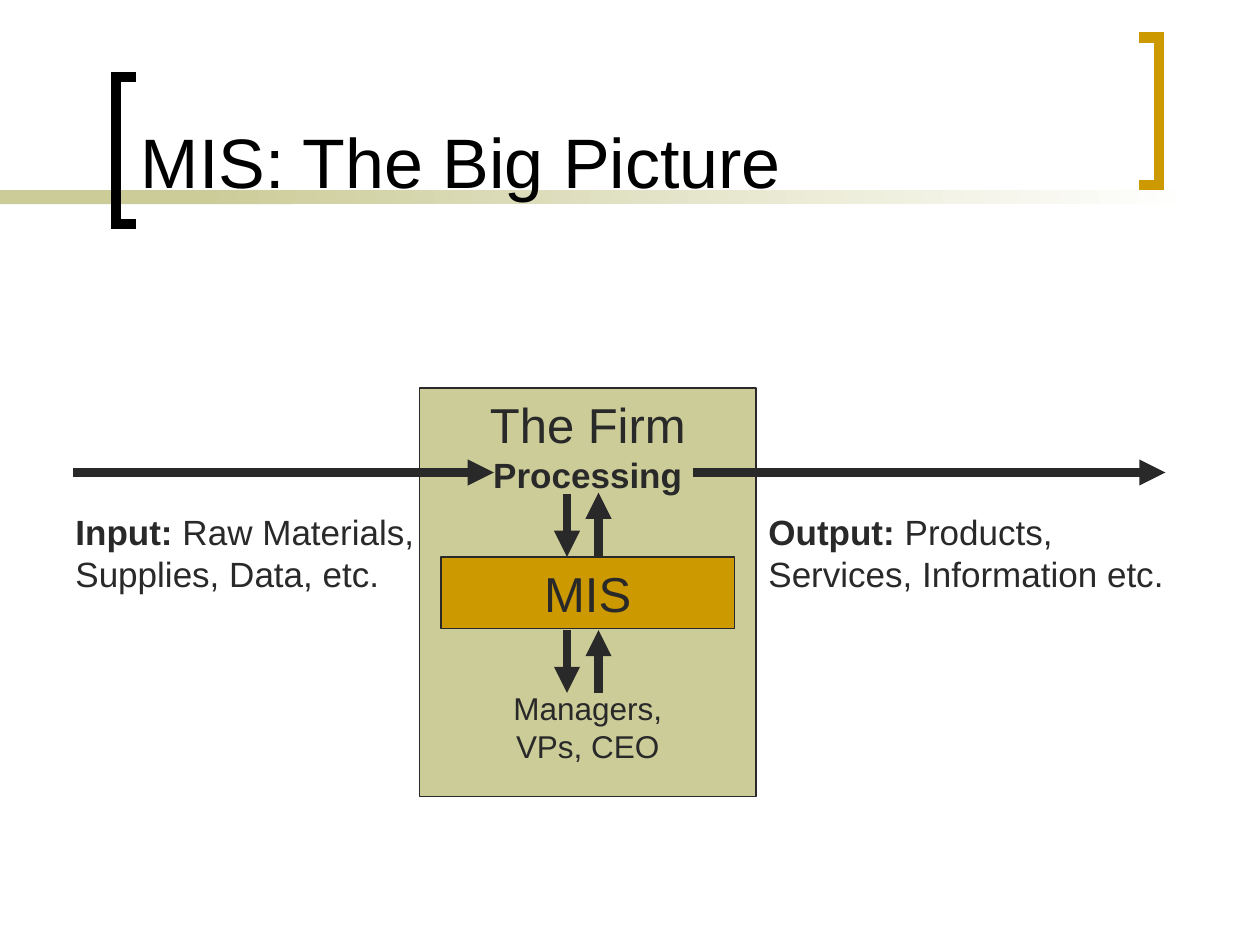
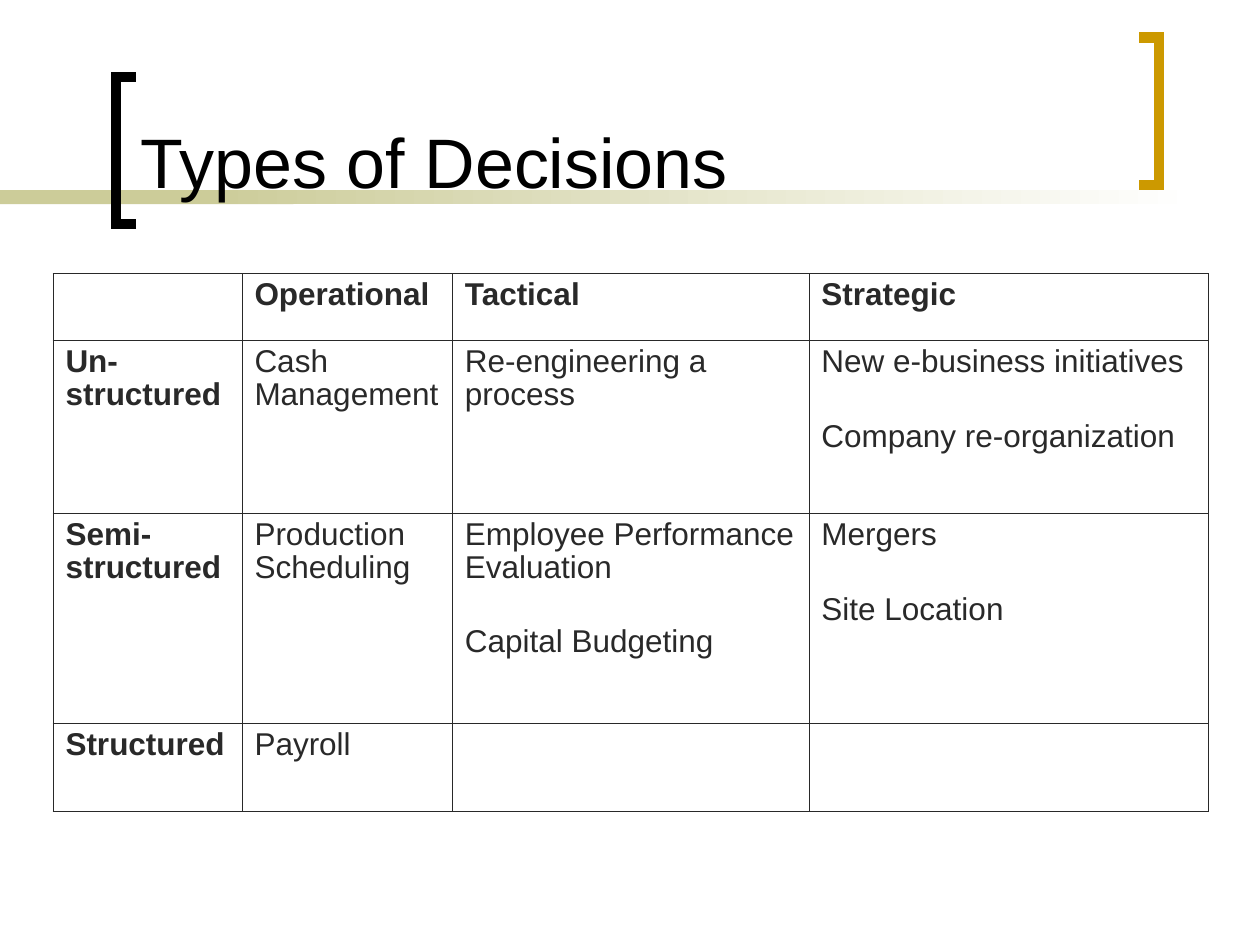
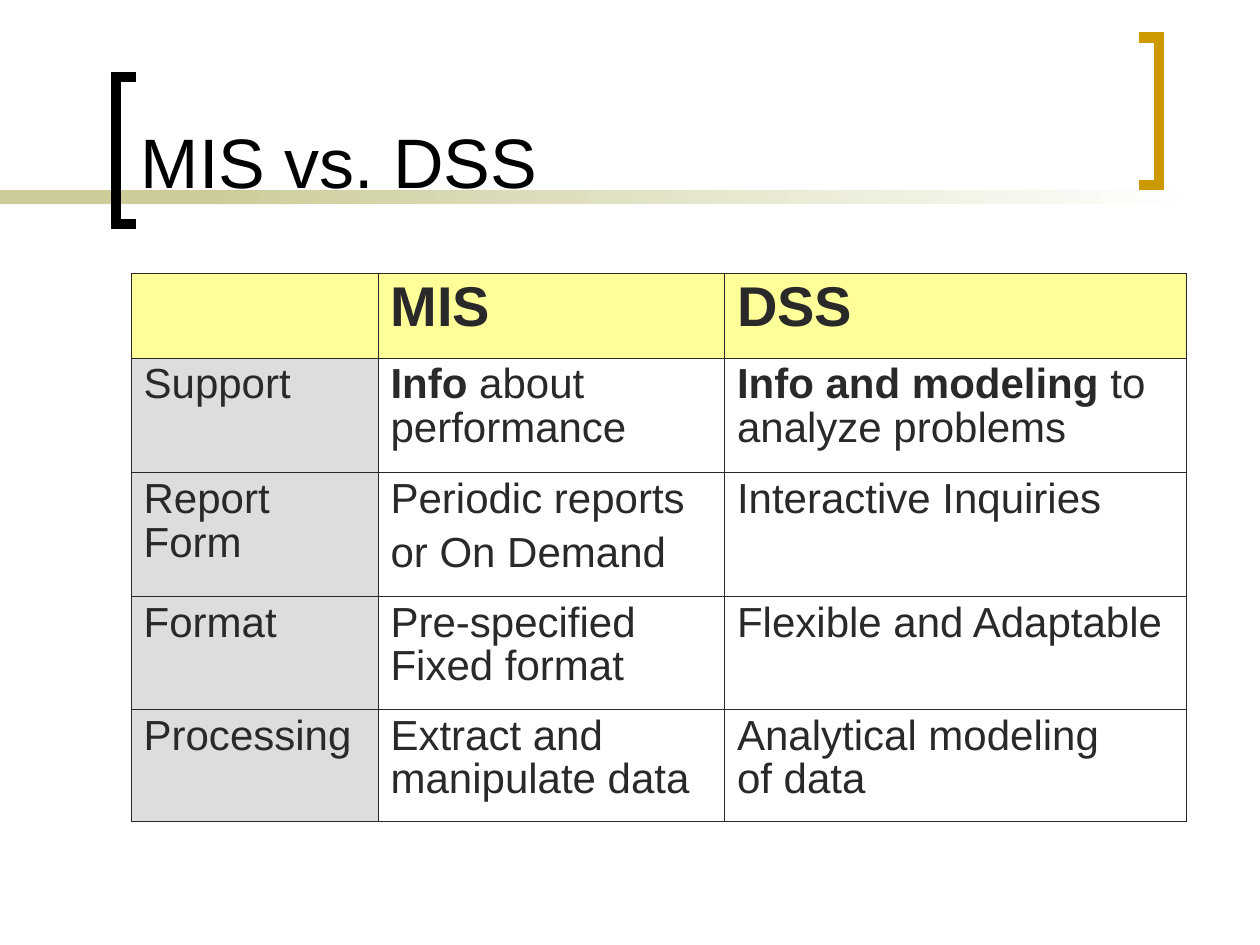
import dataclasses
import typing

import pptx
import pptx.dml.color
import pptx.enum.shapes
import pptx.enum.text
import pptx.oxml
import pptx.oxml.ns
import pptx.util

Inches = pptx.util.Inches
Pt = pptx.util.Pt
RGB = pptx.dml.color.RGBColor
Align = pptx.enum.text.PP_ALIGN
Anchor = pptx.enum.text.MSO_ANCHOR
RECT = pptx.enum.shapes.MSO_SHAPE.RECTANGLE
STRAIGHT = pptx.enum.shapes.MSO_CONNECTOR.STRAIGHT

FONT = "Arial"
BLACK = RGB(0x00, 0x00, 0x00)
WHITE = RGB(0xFF, 0xFF, 0xFF)
INK = RGB(0x29, 0x29, 0x29)
SAGE = RGB(0xCC, 0xCC, 0x99)
GOLD = RGB(0xCC, 0x99, 0x00)
YELLOW = RGB(0xFF, 0xFF, 0x99)
GRAY = RGB(0xDD, 0xDD, 0xDD)

Point = typing.Tuple[float, float]
Area = typing.Tuple[float, float, float, float]


@dataclasses.dataclass(frozen=True)
class Line:
    """One paragraph; in text, a bar ends the bold lead."""
    text: str
    size: float
    bold: bool = False
    color: RGB = INK
    align: Align = Align.LEFT


@dataclasses.dataclass(frozen=True)
class Box:
    area: Area
    lines: typing.Sequence[Line]
    fill: typing.Optional[RGB] = None
    edge: bool = False
    anchor: Anchor = Anchor.TOP


@dataclasses.dataclass(frozen=True)
class Grid:
    left: float
    top: float
    cols: typing.Sequence[float]
    rows: typing.Sequence[float]
    cells: typing.Sequence[typing.Sequence[str]]
    gap: float
    size: float
    head_size: float
    side_bold: bool = False
    head_fill: typing.Optional[RGB] = None
    side_fill: typing.Optional[RGB] = None


BRACKETS = [
    ([(1.08, 1.78), (0.92, 1.78), (0.92, 0.61), (1.08, 0.61)], BLACK),
    ([(9.04, 0.3), (9.2, 0.3), (9.2, 1.47), (9.04, 1.47)], GOLD),
]

FIRM = [
    Box((3.33, 3.08, 2.67, 3.24),
        [Line("The Firm", 28, align=Align.CENTER),
         Line("Processing", 20, bold=True, align=Align.CENTER)], SAGE, edge=True),
    Box((0.5, 4, 3.08, 0.77),
        [Line("Input:| Raw Materials, Supplies, Data, etc.", 20)]),
    Box((6, 4, 3.42, 0.77),
        [Line("Output:| Products, Services, Information etc.", 20)]),
    Box((3.5, 4.42, 2.33, 0.57),
        [Line("MIS", 28, align=Align.CENTER)], GOLD, edge=True),
    Box((3.75, 5.42, 1.83, 0.7),
        [Line("Managers, VPs, CEO", 18, align=Align.CENTER)], SAGE),
]

FLOWS = [
    ((0.58, 3.75), (3.92, 3.75)),
    ((5.5, 3.75), (9.25, 3.75)),
    ((4.5, 3.92), (4.5, 4.42)),
    ((4.75, 4.42), (4.75, 3.91)),
    ((4.5, 5), (4.5, 5.5)),
    ((4.75, 5.5), (4.75, 5)),
]

TYPES = Grid(
    0.42, 2.17, [1.5, 1.67, 2.83, 3.17], [0.53, 1.37, 1.67, 0.7],
    [["", "Operational", "Tactical", "Strategic"],
     ["Un-structured", "Cash Management", "Re-engineering a process",
      "New e-business initiatives\nCompany re-organization"],
     ["Semi-structured", "Production Scheduling",
      "Employee Performance Evaluation\nCapital Budgeting",
      "Mergers\nSite Location"],
     ["Structured", "Payroll", "", ""]],
    gap=24, size=18, head_size=18, side_bold=True)

VERSUS = Grid(
    1.04, 2.17, [1.96, 2.75, 3.67], [0.67, 0.91, 0.98, 0.9, 0.89],
    [["", "MIS", "DSS"],
     ["Support", "Info| about performance",
      "Info and modeling| to analyze problems"],
     ["Report Form", "Periodic reports\nor On Demand", "Interactive Inquiries"],
     ["Format", "Pre-specified\vFixed format", "Flexible and Adaptable"],
     ["Processing", "Extract and manipulate data",
      "Analytical modeling\vof data"]],
    gap=6, size=24, head_size=32, head_fill=YELLOW, side_fill=GRAY)


def write(frame, lines: typing.Sequence[Line], gap: float = 0,
          pitch: typing.Optional[float] = None) -> None:
    """Fill a text frame, with gap points between paragraphs."""
    for i, line in enumerate(lines):
        para = frame.add_paragraph() if i else frame.paragraphs[0]
        lead, _, rest = line.text.partition("|")
        para.text = lead
        if rest:
            para.add_run().text = rest
        para.alignment = line.align
        para.line_spacing = pitch
        if i:
            para.space_before = Pt(gap)
        for j, run in enumerate(para.runs):
            run.font.name = FONT
            run.font.size = Pt(line.size)
            run.font.bold = line.bold or bool(rest and j == 0)
            run.font.color.rgb = line.color


def draw_box(slide, box: Box) -> None:
    area = [Inches(v) for v in box.area]
    if box.fill is None:
        shape = slide.shapes.add_textbox(*area)
    else:
        shape = slide.shapes.add_shape(RECT, *area)
        shape.shadow.inherit = False
        shape.fill.solid()
        shape.fill.fore_color.rgb = box.fill
        if box.edge:
            shape.line.color.rgb = INK
            shape.line.width = Pt(0.75)
        else:
            shape.line.fill.background()
    frame = shape.text_frame
    frame.word_wrap = True
    frame.vertical_anchor = box.anchor
    write(frame, box.lines)


def draw_flow(slide, start: Point, end: Point) -> None:
    flow = slide.shapes.add_connector(
        STRAIGHT, *[Inches(v) for v in start + end])
    flow.line.color.rgb = INK
    flow.line.width = Pt(5)
    props = flow._element.spPr
    head = props.find(pptx.oxml.ns.qn("a:ln")).makeelement(
        pptx.oxml.ns.qn("a:tailEnd"), {"type": "triangle"})
    props.find(pptx.oxml.ns.qn("a:ln")).append(head)
    props.append(props.makeelement(pptx.oxml.ns.qn("a:effectLst"), {}))


def draw_hook(slide, points: typing.Sequence[Point], color: RGB) -> None:
    """Draw one square bracket beside the title."""
    path = [(Inches(x), Inches(y)) for x, y in points]
    pen = slide.shapes.build_freeform(*path[0])
    pen.add_line_segments(path[1:], close=False)
    hook = pen.convert_to_shape()
    hook.shadow.inherit = False
    hook.fill.background()
    hook.line.color.rgb = color
    hook.line.width = Pt(6)
    edge = hook._element.spPr.find(pptx.oxml.ns.qn("a:ln"))
    edge.append(edge.makeelement(pptx.oxml.ns.qn("a:miter"), {"lim": "800000"}))


def draw_band(slide) -> None:
    """Draw the solid band and the part that fades to white."""
    for left, width in [(0, 2.33), (1.58, 7.92)]:
        band = slide.shapes.add_shape(
            RECT, Inches(left), Inches(1.51), Inches(width), Inches(0.11))
        band.shadow.inherit = False
        band.line.fill.background()
        if left:
            band.fill.gradient()
            band.fill.gradient_angle = 0
            for stop, color in zip(band.fill.gradient_stops, [SAGE, WHITE]):
                stop.color.rgb = color
        else:
            band.fill.solid()
            band.fill.fore_color.rgb = SAGE


def add_slide(deck, title: str):
    slide = deck.slides.add_slide(deck.slide_layouts[6])
    draw_band(slide)
    for points, color in BRACKETS:
        draw_hook(slide, points, color)
    draw_box(slide, Box((1.02, 0.11, 7.83, 1.55), [Line(title, 40, color=BLACK)],
                        anchor=Anchor.BOTTOM))
    return slide


def rule_cell(cell, outer: typing.Dict[str, bool]) -> None:
    """Rule all four sides, heavier on the outer edge of the table."""
    props = cell._tc.get_or_add_tcPr()
    for side, heavy in outer.items():
        width = Pt(0.5 if heavy else 0.25)
        props.append(pptx.oxml.parse_xml(
            f'<a:ln{side} {pptx.oxml.ns.nsdecls("a")} w="{width}"><a:solidFill>'
            f'<a:srgbClr val="{INK}"/></a:solidFill></a:ln{side}>'))


def draw_grid(slide, grid: Grid) -> None:
    nrows, ncols = len(grid.rows), len(grid.cols)
    table = slide.shapes.add_table(
        nrows, ncols, Inches(grid.left), Inches(grid.top),
        Inches(sum(grid.cols)), Inches(sum(grid.rows))).table
    table.first_row = table.horz_banding = False
    for col, width in zip(table.columns, grid.cols):
        col.width = Inches(width)
    for row, height in zip(table.rows, grid.rows):
        row.height = Inches(height)
    for r, texts in enumerate(grid.cells):
        for c, text in enumerate(texts):
            cell = table.cell(r, c)
            rule_cell(cell, {"L": c == 0, "R": c == ncols - 1,
                             "T": r == 0, "B": r == nrows - 1})
            fill = (grid.head_fill if r == 0 else
                    grid.side_fill if c == 0 else None)
            if fill is None:
                cell.fill.background()
            else:
                cell.fill.solid()
                cell.fill.fore_color.rgb = fill
            size = grid.size if r else grid.head_size
            bold = r == 0 or (c == 0 and grid.side_bold)
            write(cell.text_frame,
                  [Line(part, size, bold) for part in text.split("\n")],
                  grid.gap, 0.93)


def main() -> None:
    deck = pptx.Presentation()
    deck.slide_width, deck.slide_height = Inches(10), Inches(7.5)
    slide = add_slide(deck, "MIS: The Big Picture")
    for box in FIRM:
        draw_box(slide, box)
    for start, end in FLOWS:
        draw_flow(slide, start, end)
    draw_grid(add_slide(deck, "Types of Decisions"), TYPES)
    draw_grid(add_slide(deck, "MIS vs. DSS"), VERSUS)
    deck.save("out.pptx")


if __name__ == "__main__":
    main()
